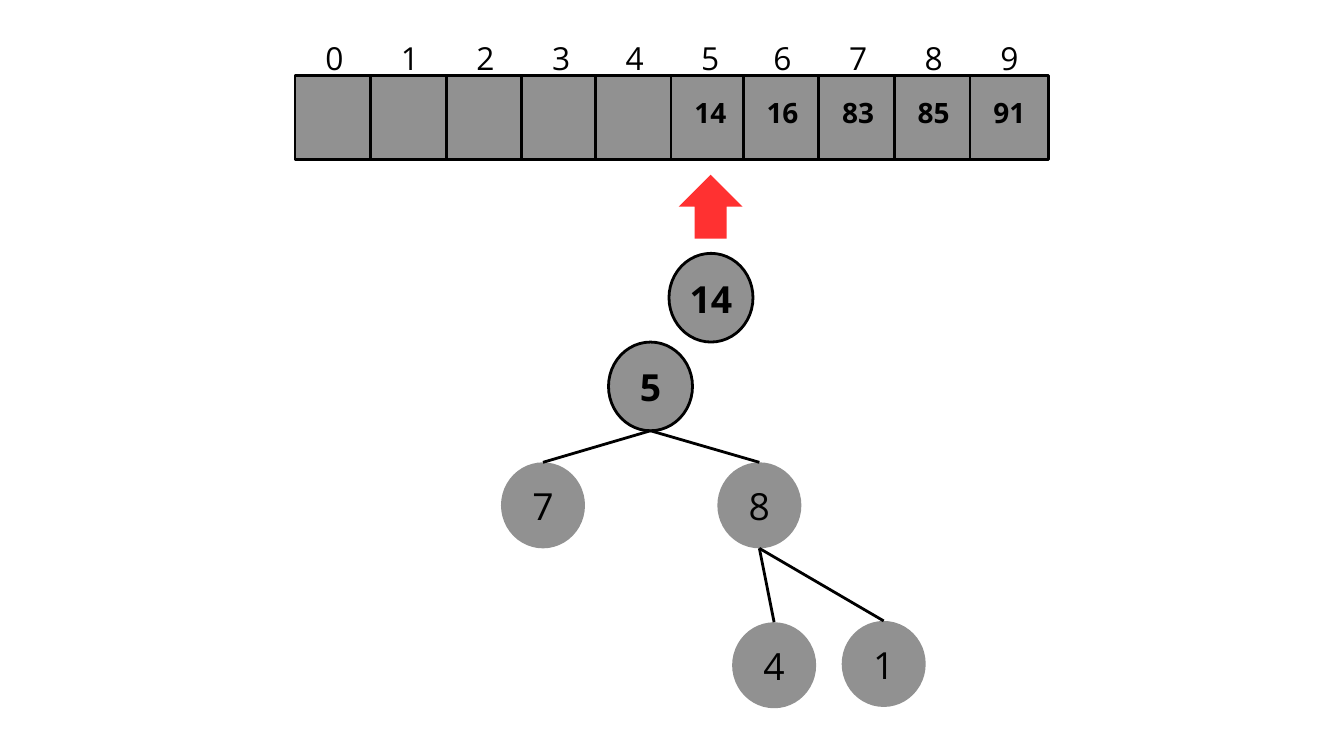
from lxml import etree
from pptx import Presentation, util as u
from pptx.dml.color import RGBColor
from pptx.enum import shapes, text
from pptx.oxml.ns import qn

prs = Presentation()
prs.slide_width, prs.slide_height = u.Inches(20), u.Inches(11.25)
s = prs.slides.add_slide(prs.slide_layouts[6])

# Grid: 20 columns by 11.25 rows
col, row = prs.slide_width / 20, prs.slide_height / 11.25
GREY, BLACK, RED = "919191", "000000", "FF3131"


def box(kind, x, y, w, h, fill=None, outlined=False):
    """Add a preset shape, or a text box when kind is None."""
    area = [round(v) for v in (x * col, y * row, w * col, h * row)]
    if kind is None:
        return s.shapes.add_textbox(*area)
    sp = s.shapes.add_shape(kind, *area)
    sp.shadow.inherit = False
    sp.fill.solid()
    sp.fill.fore_color.rgb = RGBColor.from_string(fill)
    if outlined:
        sp.line.color.rgb = RGBColor.from_string(BLACK)
        sp.line.width = u.Pt(3)
    else:
        sp.line.fill.background()
    return sp


def write(sp, label, size, bold=False, lift=0, anchor=text.MSO_ANCHOR.MIDDLE):
    """Centre a label in a shape, raised by lift rows."""
    tf = sp.text_frame
    tf.text = label
    tf.word_wrap = False
    tf.vertical_anchor = anchor
    tf.margin_left = tf.margin_right = tf.margin_top = 0
    tf.margin_bottom = round(2 * lift * row)
    p = tf.paragraphs[0]
    p.alignment = text.PP_ALIGN.CENTER
    p.line_spacing = u.Pt(1.4 * size)
    font = p.runs[0].font
    font.name, font.size, font.bold = "Open Sans", u.Pt(size), bold
    font.color.rgb = RGBColor.from_string(BLACK)


# Array cells with their indexes; columns 4 and 6 sit slightly closer
values = [""] * 5 + ["14", "16", "83", "85", "91"]
for i, value in enumerate(values):
    x = 4.39 + 1.125 * i - 0.03 * (i >= 4) - 0.05 * (i >= 6)
    cell = box(shapes.MSO_SHAPE.RECTANGLE, x, 1.12, 1.17, 1.25, GREY, True)
    if value:
        write(cell, value, 30, True, 0.11)
    index = box(None, x + 0.45, 0.49, 0.27, 0.63)
    write(index, str(i), 34, anchor=text.MSO_ANCHOR.TOP)

# Heap nodes: centre x, top, whether highlighted
nodes = {
    "5": (9.68, 5.09, True),
    "7": (8.08, 6.88, False),
    "8": (11.3, 6.88, False),
    "14": (10.58, 3.77, True),
    "4": (11.52, 9.26, False),
    "1": (13.15, 9.24, False),
}
for label, (x, y, marked) in nodes.items():
    height = 1.32 if marked else 1.28
    node = box(shapes.MSO_SHAPE.OVAL, x - 0.625, y, 1.25, height, GREY, marked)
    write(node, label, 40, marked, 0.05)

# Edges from the top of a child to the bottom of its parent
for child, parent in [("7", "5"), ("8", "5"), ("4", "8"), ("1", "8")]:
    x1, y1, _ = nodes[child]
    x2, y2, marked = nodes[parent]
    y2 += 1.32 if marked else 1.28
    ends = [round(v) for v in (x1 * col, y1 * row, x2 * col, y2 * row)]
    edge = s.shapes.add_connector(shapes.MSO_CONNECTOR.STRAIGHT, *ends)
    edge.line.color.rgb = RGBColor.from_string(BLACK)
    edge.line.width = u.Pt(3)
    etree.SubElement(edge._element.spPr, qn("a:effectLst"))

# Arrow from the removed node to its cell
arrow = box(shapes.MSO_SHAPE.UP_ARROW, 10.1, 2.6, 0.95, 0.95, RED)
arrow.adjustments[0] = arrow.adjustments[1] = 0.5

prs.save("out.pptx")
